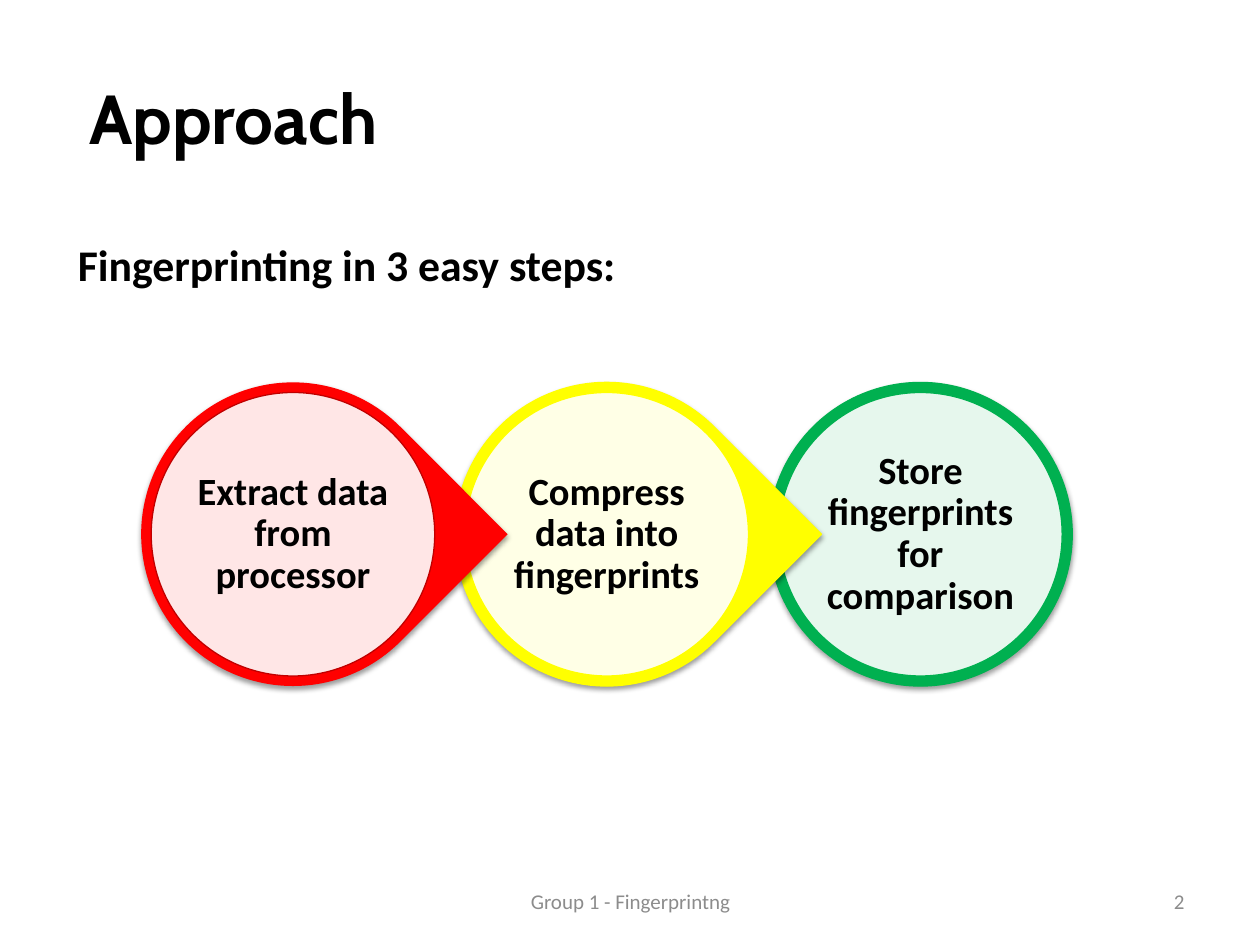
import pptx
import pptx.util
import pptx.dml.color
import pptx.enum.shapes
import pptx.enum.text
import pptx.oxml
import pptx.oxml.ns
import lxml.etree as etree

Inches, Pt = pptx.util.Inches, pptx.util.Pt
MSO_SHAPE = pptx.enum.shapes.MSO_SHAPE
ALIGN, ANCHOR = pptx.enum.text.PP_ALIGN, pptx.enum.text.MSO_ANCHOR
qn = pptx.oxml.ns.qn

# Content
TITLE = "Approach"
LEAD = "Fingerprinting in 3 easy steps:"
FOOTER, PAGE = "Group 1 - Fingerprintng", "2"
# text, colour, outer line, disc line
STEPS = [
    ("Extract data from processor", "FF0000", None, "C00000"),
    ("Compress data into fingerprints", "FFFF00", "FFFF00", "FFFF00"),
    ("Store fingerprints for comparison", "00B050", "00B050", "00B050"),
]

THEME = {
    "heading": "Cabin", "body": "Calibri",
    "ink": "000000", "muted": "8C8C8C", "disc": "FFFFFF",
    "title": 39.6, "lead": 25, "step": 22, "small": 12, "line": 0.75,
}

# Row of steps: first centre, distance between centres, sizes
CENTRE_X, CENTRE_Y, PITCH = 2.325, 4.24, 2.49
RING, DISC, LABEL = 2.41, 2.25, 1.61

SHADOW = (
    '<a:effectLst xmlns:a="http://schemas.openxmlformats.org/drawingml/2006/main">'
    '<a:outerShdw blurRad="%d" dist="%d" dir="5400000" rotWithShape="0">'
    '<a:srgbClr val="000000"><a:alpha val="38000"/></a:srgbClr>'
    '</a:outerShdw></a:effectLst>' % (Pt(3.1), Pt(1.6))
)


def rgb(value):
    return pptx.dml.color.RGBColor.from_string(value)


def add_text(s, box, text, size, font=THEME["body"], color=THEME["ink"], bold=True,
             align=ALIGN.LEFT, anchor=ANCHOR.MIDDLE, spacing=None, inset=None):
    tf = s.shapes.add_textbox(*map(Inches, box)).text_frame
    tf.word_wrap = True
    tf.vertical_anchor = anchor
    if inset is not None:
        tf.margin_left = tf.margin_right = tf.margin_top = tf.margin_bottom = Inches(inset)
    p = tf.paragraphs[0]
    p.alignment = align
    if spacing:
        p.line_spacing = spacing
    r = p.add_run()
    r.text = text
    r.font.name, r.font.size, r.font.bold = font, Pt(size), bold
    r.font.color.rgb = rgb(color)


def centred(cx, size):
    return cx - size / 2, CENTRE_Y - size / 2, size, size


def add_round(s, kind, cx, size, fill, line):
    sp = s.shapes.add_shape(kind, *map(Inches, centred(cx, size)))
    sp.shadow.inherit = False
    sp.fill.solid()
    sp.fill.fore_color.rgb = rgb(fill)
    if line:
        sp.line.color.rgb = rgb(line)
        sp.line.width = Pt(THEME["line"])
    else:
        sp.line.fill.background()
    return sp


def add_step(s, index):
    text, color, ring_line, disc_line = STEPS[index]
    cx = CENTRE_X + index * PITCH
    last = index == len(STEPS) - 1

    # Ring, pointing at the next step unless it is the last
    kind = MSO_SHAPE.OVAL if last else MSO_SHAPE.TEAR
    ring = add_round(s, kind, cx, RING, color, ring_line)
    if not last:
        ring.rotation = 45
    sp_pr = ring._element.spPr
    sp_pr.replace(sp_pr.find(qn("a:effectLst")), pptx.oxml.parse_xml(SHADOW))

    # Translucent disc and its label
    disc = add_round(s, MSO_SHAPE.OVAL, cx, DISC, THEME["disc"], disc_line)
    clr = disc._element.spPr.find(qn("a:solidFill")).find(qn("a:srgbClr"))
    etree.SubElement(clr, qn("a:alpha")).set("val", "90000")
    add_text(s, centred(cx, LABEL), text, THEME["step"],
             align=ALIGN.CENTER, spacing=0.9, inset=0.03)


prs = pptx.Presentation()
prs.slide_width, prs.slide_height = Inches(10), Inches(7.5)
s = prs.slides.add_slide(prs.slide_layouts[6])

# Heading and lead line
add_text(s, (0.61, 0.62, 8.78, 0.61), TITLE, THEME["title"], font=THEME["heading"])
add_text(s, (0.52, 1.63, 8.83, 1.54), LEAD, THEME["lead"],
         anchor=ANCHOR.TOP, spacing=1.5)

# Steps, last one first so that each point overlaps its neighbour
for index in reversed(range(len(STEPS))):
    add_step(s, index)

# Footer
for box, text, align in [((3.42, 6.95, 3.17, 0.4), FOOTER, ALIGN.CENTER),
                         ((7.17, 6.95, 2.33, 0.4), PAGE, ALIGN.RIGHT)]:
    add_text(s, box, text, THEME["small"], color=THEME["muted"], bold=False, align=align)

prs.save("out.pptx")
